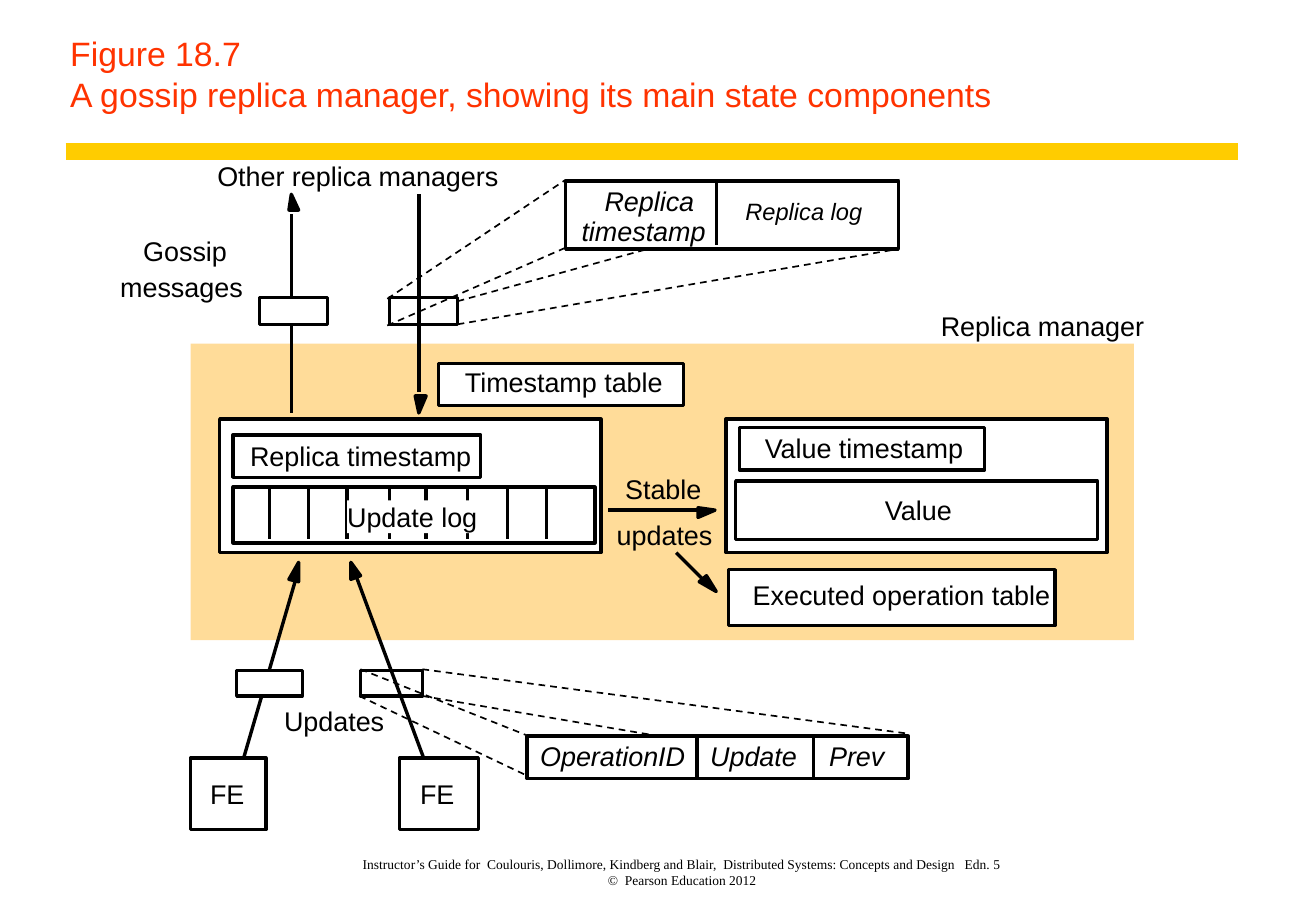
import pptx
import pptx.util
from pptx.dml.color import RGBColor
from pptx.enum.dml import MSO_LINE
from pptx.enum.shapes import MSO_CONNECTOR, MSO_SHAPE
from pptx.enum.text import MSO_ANCHOR, PP_ALIGN
from pptx.oxml.xmlchemy import OxmlElement
from pptx.util import Inches

BLACK = RGBColor(0x00, 0x00, 0x00)
WHITE = RGBColor(0xFF, 0xFF, 0xFF)
RED = RGBColor(0xFF, 0x33, 0x00)
GOLD = RGBColor(0xFF, 0xCC, 0x00)
SAND = RGBColor(0xFF, 0xDC, 0x99)
LABEL_SLACK = 0.2

presentation = pptx.Presentation()
presentation.slide_width = Inches(10.84)
presentation.slide_height = Inches(7.5)
slide = presentation.slides.add_slide(presentation.slide_layouts[6])
shapes = slide.shapes


def add_line(x1, y1, x2, y2, width=2, color=BLACK, dashed=False):
    line = shapes.add_connector(
        MSO_CONNECTOR.STRAIGHT, Inches(x1), Inches(y1), Inches(x2), Inches(y2))
    line.line.width = pptx.util.Pt(width)
    line.line.color.rgb = color
    if dashed:
        line.line.dash_style = MSO_LINE.DASH
    line._element.spPr.append(OxmlElement("a:effectLst"))


def add_box(left, top, width, height, fill=WHITE, outlined=True):
    box = shapes.add_shape(
        MSO_SHAPE.RECTANGLE, Inches(left), Inches(top), Inches(width), Inches(height))
    box.shadow.inherit = False
    if fill is None:
        box.fill.background()
    else:
        box.fill.solid()
        box.fill.fore_color.rgb = fill
    if outlined:
        box.line.width = pptx.util.Pt(2)
        box.line.color.rgb = BLACK
    else:
        box.line.fill.background()


# Title, rule and footer
blocks = [
    ("Figure 18.7\vA gossip replica manager, showing its main state components",
     (0.48, 0, 9.72, 1), (0.1, 0.06, 0.14, 0.06), "Arial", 20, RED, PP_ALIGN.LEFT),
    ("Instructor’s Guide for  Coulouris, Dollimore, Kindberg and Blair,  "
     "Distributed Systems: Concepts and Design   Edn. 5\v©  Pearson Education 2012",
     (2.35, 6.92, 6.6, 0.39), (0, 0, 0.06, 0), "Times New Roman", 8, BLACK, PP_ALIGN.CENTER),
]
for text, place, insets, font_name, size, color, alignment in blocks:
    block = shapes.add_textbox(*[Inches(length) for length in place])
    frame = block.text_frame
    frame.text = text
    frame.word_wrap = True
    frame.vertical_anchor = MSO_ANCHOR.BOTTOM
    (frame.margin_left, frame.margin_top,
     frame.margin_right, frame.margin_bottom) = [Inches(inset) for inset in insets]
    paragraph = frame.paragraphs[0]
    paragraph.alignment = alignment
    for run in paragraph.runs:
        run.font.name = font_name
        run.font.size = pptx.util.Pt(size)
        run.font.color.rgb = color
add_line(0.54, 1.25, 10.2, 1.25, width=10, color=GOLD)

# Dashed lines that pass behind the enlarged messages
add_line(3.48, 5.73, 7.49, 6.41, width=1, dashed=True)
add_line(3.77, 2.48, 7.41, 1.48, width=1, dashed=True)

# Replica manager and its state components
add_box(1.57, 2.83, 7.77, 2.44, fill=SAND, outlined=False)
components = [
    (1.81, 3.45, 3.14, 1.1),
    (5.98, 3.45, 3.14, 1.1),
    (1.92, 3.58, 2.04, 0.35),
    (1.92, 4.01, 2.98, 0.46),
    (6.09, 3.52, 2.02, 0.35),
    (6.06, 3.96, 2.98, 0.48),
    (6, 4.69, 2.69, 0.46),
    (3.61, 2.99, 2.02, 0.35),
]
for component in components:
    add_box(*component)
for log_divider in (2.22, 2.54, 2.86, 3.21, 3.51, 3.85, 4.18, 4.5):
    add_line(log_divider, 4.01, log_divider, 4.44)
add_box(2.86, 4.12, 1.07, 0.27, outlined=False)

# Arrows: shaft ends, then the outline of the head
arrows = [
    ((5.01, 4.2, 5.75, 4.2), [(5.75, 4.18), (5.89, 4.2), (5.75, 4.26)]),
    ((5.57, 4.55, 5.79, 4.77), [(5.82, 4.74), (5.9, 4.87), (5.76, 4.79)]),
    ((3.45, 1.6, 3.45, 3.23), [(3.42, 3.26), (3.51, 3.26), (3.45, 3.4)]),
    ((1.92, 6.54, 2.43, 4.79), [(2.38, 4.77), (2.46, 4.63), (2.46, 4.79)]),
    ((3.59, 6.51, 2.94, 4.76), [(2.89, 4.77), (2.89, 4.63), (2.97, 4.74)]),
    ((2.4, 3.4, 2.4, 1.76), [(2.38, 1.73), (2.4, 1.6), (2.46, 1.73)]),
]
for shaft, outline in arrows:
    add_line(*shaft)
    corners = [(Inches(x), Inches(y)) for x, y in outline]
    builder = shapes.build_freeform(*corners[0])
    builder.add_line_segments(corners[1:], close=True)
    head = builder.convert_to_shape()
    head.shadow.inherit = False
    head.fill.solid()
    head.fill.fore_color.rgb = BLACK
    head.line.color.rgb = BLACK
    head.line.width = pptx.util.Pt(2)

# Front ends, messages in transit and the enlarged messages
for front_end_left, front_end_width in ((1.57, 0.62), (3.29, 0.65)):
    add_box(front_end_left, 6.24, front_end_width, 0.59)
add_box(2.14, 2.45, 0.56, 0.22)
add_box(1.95, 5.52, 0.54, 0.21)
add_box(3.21, 2.45, 0.56, 0.22, fill=None)
add_box(2.97, 5.52, 0.51, 0.21, fill=None)
add_box(4.66, 1.49, 2.74, 0.56)
add_line(5.9, 1.49, 5.9, 2.02)
add_box(4.34, 6.06, 3.14, 0.35)
for field_divider in (5.74, 6.7):
    add_line(field_divider, 6.06, field_divider, 6.4)

enlargement_lines = [
    (3.19, 2.46, 4.66, 1.48),
    (3.19, 2.68, 4.68, 2.03),
    (3.77, 2.67, 7.4, 2.05),
    (3.48, 5.51, 7.48, 6.04),
    (2.97, 5.51, 4.33, 6.05),
    (2.96, 5.73, 4.35, 6.39),
]
for ends in enlargement_lines:
    add_line(*ends, width=1, dashed=True)

# Labels: text, left, top, text width, size, italic
labels = [
    ("Other replica managers", 1.79, 1.31, 2.31, 16, False),
    ("Gossip", 1.18, 1.93, 0.69, 16, False),
    ("messages", 0.99, 2.23, 1.01, 16, False),
    ("Replica manager", 7.75, 2.55, 1.68, 16, False),
    ("Timestamp table", 3.83, 3.01, 1.64, 16, False),
    ("Replica timestamp", 2.06, 3.62, 1.82, 16, False),
    ("Update log", 2.86, 4.12, 1.07, 16, False),
    ("Value timestamp", 6.3, 3.55, 1.63, 16, False),
    ("Value", 7.29, 4.06, 0.57, 16, False),
    ("Stable", 5.15, 3.89, 0.63, 16, False),
    ("updates", 5.08, 4.27, 0.79, 16, False),
    ("Executed operation table", 6.2, 4.76, 2.45, 16, False),
    ("Updates", 2.34, 5.8, 0.83, 16, False),
    ("FE", 1.73, 6.4, 0.28, 16, False),
    ("FE", 3.46, 6.4, 0.28, 16, False),
    ("Replica", 4.98, 1.52, 0.74, 16, True),
    ("timestamp", 4.79, 1.77, 1.02, 16, True),
    ("Replica log", 6.14, 1.62, 0.97, 14, True),
    ("OperationID", 4.45, 6.09, 1.2, 16, True),
    ("Update", 5.85, 6.09, 0.78, 16, True),
    ("Prev", 6.83, 6.09, 0.46, 16, True),
]
for text, left, top, width, size, italic in labels:
    label = shapes.add_textbox(
        Inches(left), Inches(top), Inches(width + LABEL_SLACK), Inches(0.27))
    frame = label.text_frame
    frame.text = text
    frame.word_wrap = True
    frame.margin_left = frame.margin_top = frame.margin_right = frame.margin_bottom = 0
    font = frame.paragraphs[0].runs[0].font
    font.name = "Arial"
    font.size = pptx.util.Pt(size)
    font.italic = italic
    font.color.rgb = BLACK

presentation.save("out.pptx")
